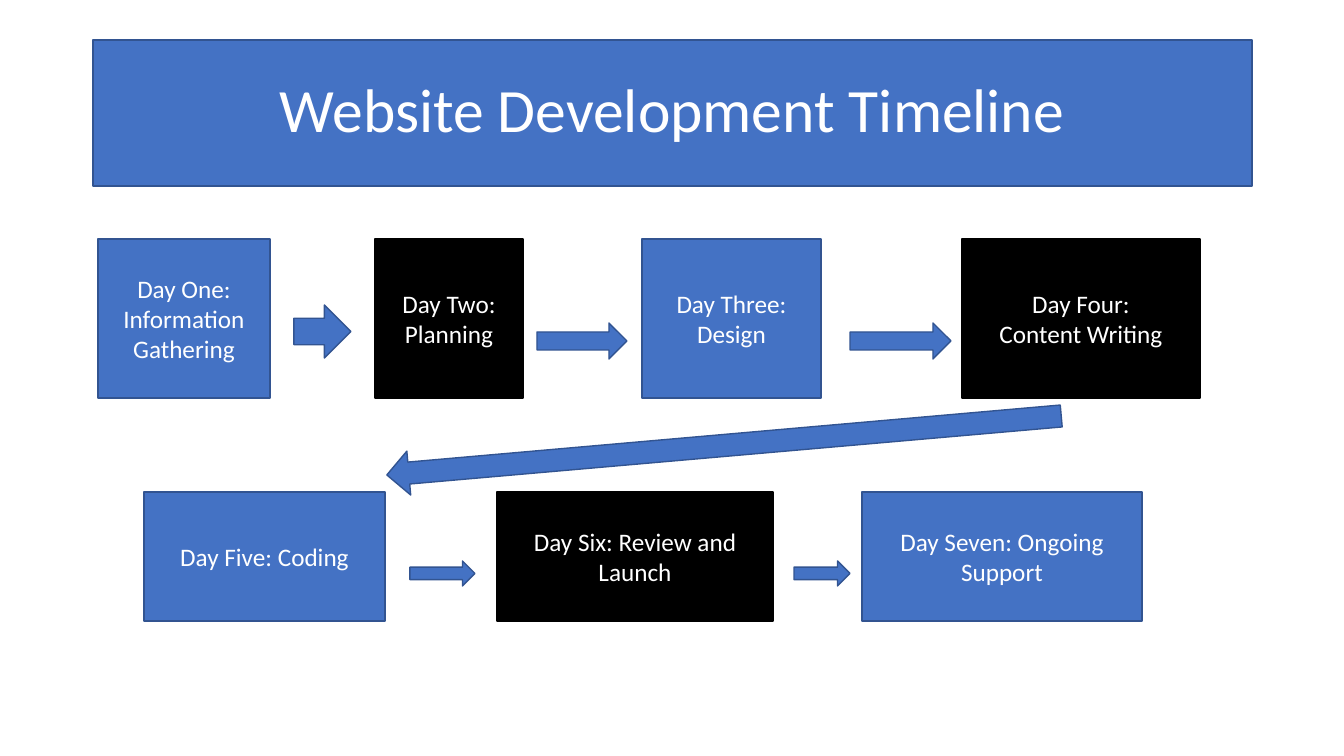
from typing import NamedTuple

from pptx import Presentation
from pptx.dml.color import RGBColor
from pptx.enum.shapes import MSO_SHAPE as Kind
from pptx.enum.text import MSO_ANCHOR as Anchor, PP_ALIGN as Align
from pptx.util import Pt

SCALE = 914400 / 100.8
BLUE, EDGE, BLACK, WHITE = "4472C4", "325491", "000000", "FFFFFF"


class Box(NamedTuple):
    left: int
    top: int
    width: int
    height: int
    text: str
    fill: str = BLUE
    line: str = EDGE
    size: int = 18
    space: float = 1.0


class Arrow(NamedTuple):
    left: int
    top: int
    width: int
    height: int
    kind: Kind = Kind.RIGHT_ARROW
    turn: int = 0


def px(count: int) -> int:
    return round(count * SCALE)


def color(code: str) -> RGBColor:
    return RGBColor.from_string(code)


def draw(kind: Kind, item: Box | Arrow, fill: str, line: str):
    shape = slide.shapes.add_shape(kind, *map(px, item[:4]))
    shape.shadow.inherit = False
    shape.fill.solid()
    shape.fill.fore_color.rgb = color(fill)
    shape.line.color.rgb = color(line)
    shape.line.width = Pt(1)
    return shape


def add_box(box: Box) -> None:
    frame = draw(Kind.RECTANGLE, box, box.fill, box.line).text_frame
    frame.word_wrap = True
    frame.vertical_anchor = Anchor.MIDDLE
    frame.text = box.text
    for para in frame.paragraphs:
        para.alignment = Align.CENTER
        para.line_spacing = box.space
        for run in para.runs:
            run.font.name = "Calibri"
            run.font.size = Pt(box.size)
            run.font.color.rgb = color(WHITE)


def add_arrow(arrow: Arrow) -> None:
    draw(arrow.kind, arrow, BLUE, EDGE).rotation = arrow.turn


TITLE = Box(93, 40, 1159, 146, "Website Development Timeline", size=44, space=0.9)
ROWS = [
    (239, 159, [
        (98, 172, "Day One: Information Gathering"),
        (375, 148, "Day Two: Planning"),
        (642, 179, "Day Three: Design"),
        (962, 238, "Day Four:\nContent Writing"),
    ]),
    (492, 129, [
        (144, 241, "Day Five: Coding"),
        (497, 276, "Day Six: Review and Launch"),
        (862, 280, "Day Seven: Ongoing Support"),
    ]),
]
ARROWS = [
    Arrow(294, 305, 57, 53),
    Arrow(537, 323, 90, 36),
    Arrow(850, 323, 101, 36),
    Arrow(410, 561, 65, 25),
    Arrow(794, 561, 56, 25),
    Arrow(702, 107, 44, 677, Kind.DOWN_ARROW, 85),
]

deck = Presentation()
deck.slide_width, deck.slide_height = px(1344), px(756)
slide = deck.slides.add_slide(deck.slide_layouts[6])

add_box(TITLE)
for top, height, days in ROWS:
    for index, (left, width, text) in enumerate(days):
        fill, line = (BLACK, BLACK) if index % 2 else (BLUE, EDGE)
        add_box(Box(left, top, width, height, text, fill, line))
for arrow in ARROWS:
    add_arrow(arrow)

deck.save("out.pptx")
